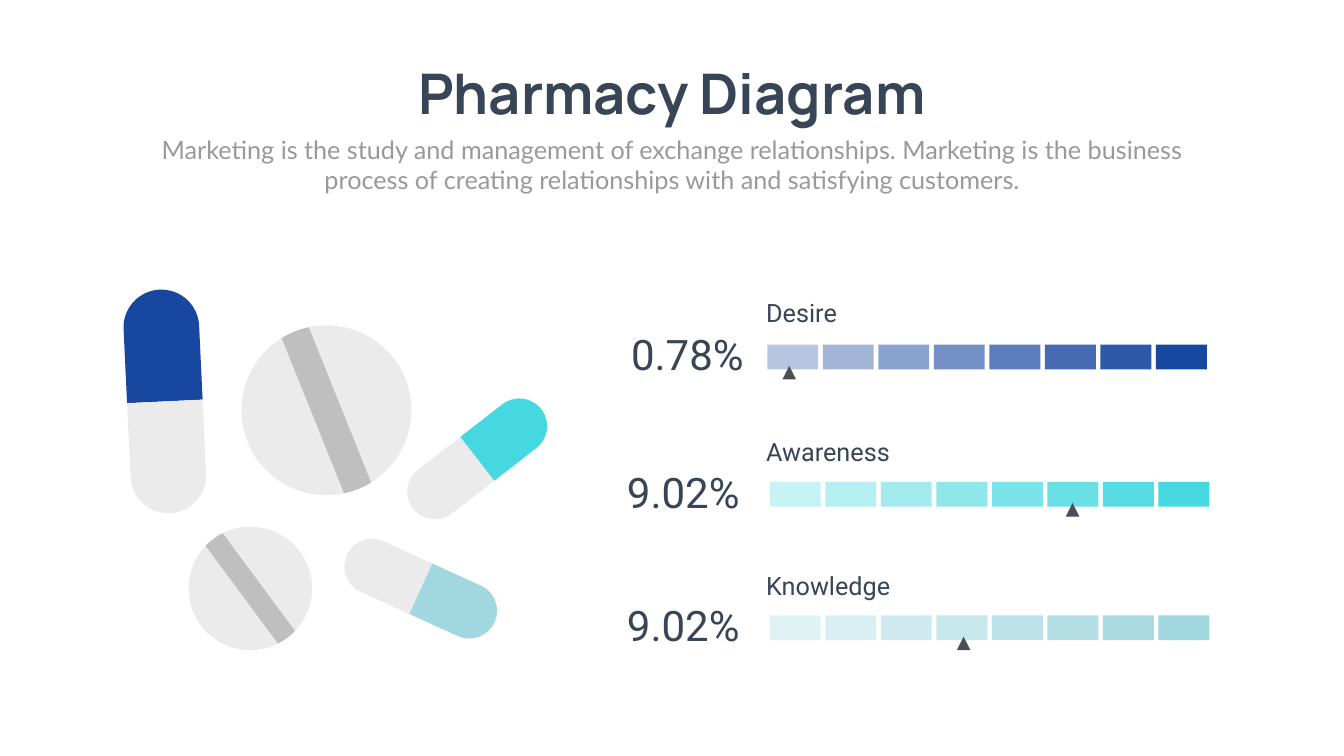
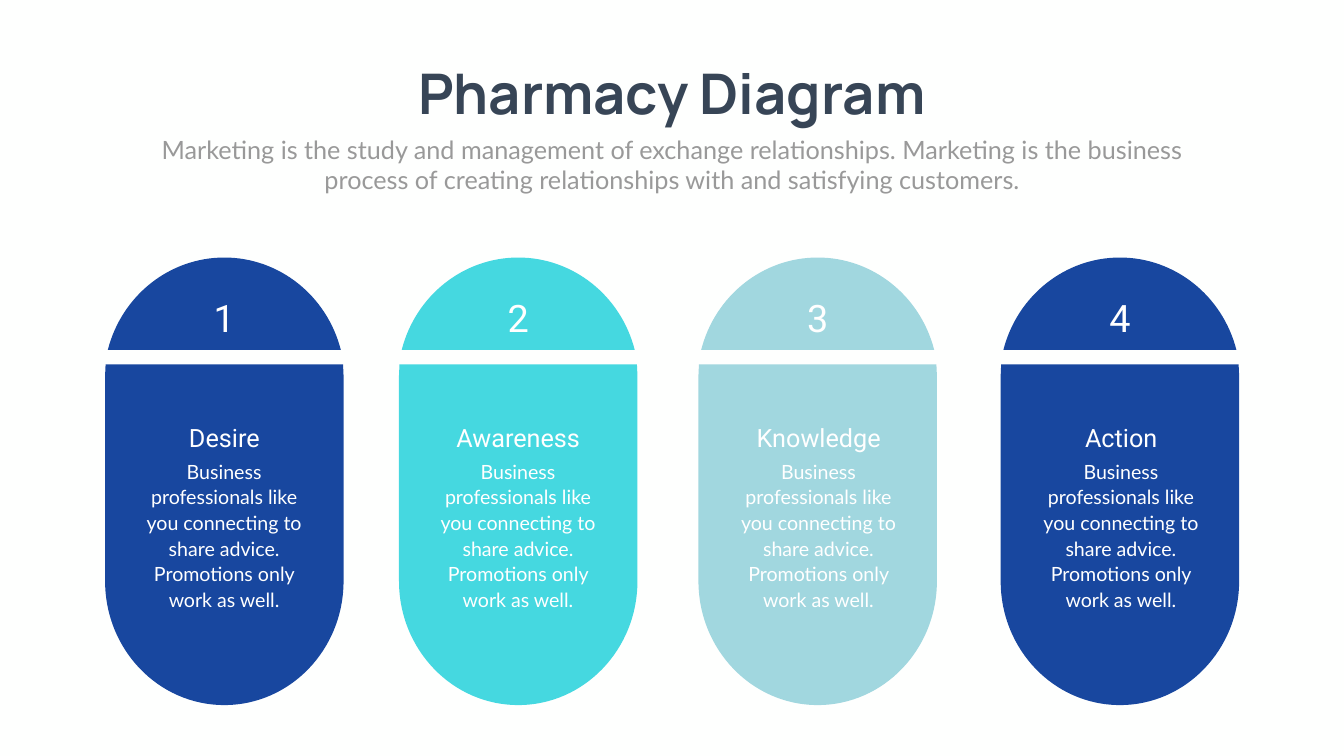
"""Build two pharmacy diagram slides: rating scales beside pills, and four capsule cards."""
import math

import lxml.etree
import pptx
import pptx.dml.color
import pptx.enum.shapes
import pptx.enum.text
import pptx.oxml
import pptx.oxml.ns
import pptx.util

PX = 9144
COLOURS = {
    "background": "FEFFFE", "ink": "374556", "muted": "999999", "white": "FFFFFF",
    "blue": "18479F", "cyan": "45D8E0", "teal": "A1D7DF",
    "pill": "EBEBEB", "groove": "BFBFBF", "marker": "4A4E57",
}
ALIGN = pptx.enum.text.PP_ALIGN
ANCHOR = pptx.enum.text.MSO_ANCHOR
SHAPE = pptx.enum.shapes.MSO_SHAPE
TITLE = "Pharmacy Diagram"
SUBTITLE = ("Marketing is the study and management of exchange relationships. "
            "Marketing is the business process of creating relationships with "
            "and satisfying customers.")
ADVICE = ("Business professionals like you connecting to share advice. "
          "Promotions only work as well.")


def px(length):
    """Turn px into EMU."""
    return pptx.util.Emu(round(length * PX))


def rgb(colour):
    """Look up a named colour."""
    return pptx.dml.color.RGBColor.from_string(COLOURS[colour])


def write(frame, text, font, size, colour, align, bold=False, leading=None):
    """Write one formatted run in a text frame."""
    paragraph = frame.paragraphs[0]
    paragraph.alignment = align
    if leading:
        paragraph.line_spacing = pptx.util.Pt(leading)
    run = paragraph.add_run()
    run.text = text
    run.font.name = font
    run.font.size = pptx.util.Pt(size)
    run.font.bold = bold
    run.font.color.rgb = rgb(colour)


def add_text(slide, box, text, font, size, colour, align, leading=None):
    """Add a wrapping text box."""
    frame = slide.shapes.add_textbox(*map(px, box)).text_frame
    frame.word_wrap = True
    frame.auto_size = pptx.enum.text.MSO_AUTO_SIZE.SHAPE_TO_FIT_TEXT
    write(frame, text, font, size, colour, align, leading=leading)


def paint(shape, colour, opacity=100):
    """Give a shape a flat fill without line or shadow."""
    shape.shadow.inherit = False
    shape.line.fill.background()
    shape.fill.solid()
    shape.fill.fore_color.rgb = rgb(colour)
    if opacity < 100:
        tint = shape.fill._xPr.find(".//" + pptx.oxml.ns.qn("a:srgbClr"))
        alpha = lxml.etree.SubElement(tint, pptx.oxml.ns.qn("a:alpha"))
        alpha.set("val", str(opacity * 1000))
    return shape


def add_preset(slide, kind, box, colour, opacity=100):
    """Add a painted preset shape."""
    return paint(slide.shapes.add_shape(kind, *map(px, box)), colour, opacity)


def add_outline(slide, moves, colour):
    """Add a painted closed outline of lines (one point) and curves (three points)."""
    qn = pptx.oxml.ns.qn
    corners = [(px(x), px(y)) for x, y in (move[-1] for move in moves)]
    builder = slide.shapes.build_freeform(*corners[0], scale=1.0)
    builder.add_line_segments(corners[1:], close=True)
    shape = builder.convert_to_shape()
    segments = list(shape._element.iter(qn("a:lnTo")))
    for move, segment in zip(moves[1:], segments):
        if len(move) == 3:
            segment.tag = qn("a:cubicBezTo")
        for place, (x, y) in enumerate(move[:-1]):
            control = lxml.etree.SubElement(segment, qn("a:pt"))
            control.set("x", str(px(x) - shape.left))
            control.set("y", str(px(y) - shape.top))
            segment.insert(place, control)
    return paint(shape, colour)


def on_ellipse(centre, radii, angle, pull=0):
    """Find a point on an ellipse, pulled along its tangent by a share of the radii."""
    cosine, sine = math.cos(math.radians(angle)), math.sin(math.radians(angle))
    return (centre[0] + radii[0] * (cosine - pull * sine),
            centre[1] + radii[1] * (sine + pull * cosine))


def arc(centre, radii, start, end):
    """List curve moves along an arc, in degrees clockwise, split at the quadrants."""
    quadrants = [angle for angle in range(-360, 721, 90) if start < angle < end]
    stops = [start, *quadrants, end]
    moves = [(on_ellipse(centre, radii, start),)]
    for first, last in zip(stops, stops[1:]):
        pull = 4 / 3 * math.tan(math.radians(last - first) / 4)
        moves.append((on_ellipse(centre, radii, first, pull),
                      on_ellipse(centre, radii, last, -pull),
                      on_ellipse(centre, radii, last)))
    return moves


def add_half_pill(slide, joint, radius, length, angle, colour):
    """Add half a pill that runs from its joint to a round end."""
    radii = (radius, radius)
    tip = on_ellipse(joint, (length, length), angle)
    seam = [(on_ellipse(joint, radii, angle + side),) for side in (90, -90)]
    add_outline(slide, seam + arc(tip, radii, angle - 90, angle + 90), colour)


def add_pill(slide, joint, radius, length, angle, colour):
    """Add a pill with a coloured and a pale half."""
    add_half_pill(slide, joint, radius, length, angle, colour)
    add_half_pill(slide, joint, radius, length, angle + 180, "pill")


def add_tablet(slide, centre, radius, tilt, spread=9.9):
    """Add a round tablet split by a groove."""
    radii = (radius, radius)
    ends = (tilt, tilt + 180)
    for end in ends:
        add_outline(slide, arc(centre, radii, end + spread, end + 180 - spread), "pill")
    groove = [move for end in ends for move in arc(centre, radii, end - spread, end + spread)]
    add_outline(slide, groove, "groove")


def add_scale(slide, label, value, colour, value_box, label_top, left, top, marker_left):
    """Add a labelled eight-step scale with its value and marker."""
    add_text(slide, value_box, value, "Roboto", 60, "ink", ALIGN.RIGHT)
    for step in range(8):
        add_preset(slide, SHAPE.RECTANGLE, (left + 110.14 * step, top, 101, 49),
                   colour, 30 + 10 * step)
    add_preset(slide, SHAPE.ISOSCELES_TRIANGLE, (marker_left, top + 42, 27, 27), "marker")
    add_text(slide, (1510, label_top, 412, 71), label, "Roboto", 36, "ink", ALIGN.LEFT)


def add_card(slide, number, label, colour, middle, text_middle):
    """Add a numbered capsule card around a vertical middle line."""
    dome = add_outline(slide, arc((middle, 757), (239, 246), -165.2, -14.8), colour)
    frame = dome.text_frame
    frame.margin_left = frame.margin_top = frame.margin_right = 0
    frame.margin_bottom = px(20)
    frame.vertical_anchor = ANCHOR.BOTTOM
    write(frame, str(number), "Roboto", 54, "white", ALIGN.CENTER)
    shoulders = [((middle + x, y),) for x, y in
                 ((-236.5, 745), (-235.5, 723), (235.5, 723), (236.5, 745))]
    add_outline(slide, shoulders + arc((middle, 1153), (236.5, 246), 0, 180), colour)
    add_text(slide, (text_middle - 188, 903, 375, 317), ADVICE, "Lato", 28, "white",
             ALIGN.CENTER, leading=36.6)
    add_text(slide, (text_middle - 206, 832, 412, 71), label, "Roboto", 36, "white",
             ALIGN.CENTER)


def start_slide(deck):
    """Add a slide with the shared title and subtitle."""
    slide = deck.slides.add_slide(deck.slide_layouts[5])
    title = slide.shapes.title
    title.left, title.top, title.width, title.height = map(px, (754, 112, 1158, 145))
    frame = title.text_frame
    frame.word_wrap = False
    frame.auto_size = pptx.enum.text.MSO_AUTO_SIZE.SHAPE_TO_FIT_TEXT
    frame.vertical_anchor = ANCHOR.TOP
    write(frame, TITLE, "Manrope", 80, "ink", ALIGN.CENTER, bold=True)
    add_text(slide, (292, 261, 2082, 131), SUBTITLE, "Lato", 36, "muted", ALIGN.CENTER)
    return slide


def build_scales(deck):
    """Build the slide with pills and rating scales."""
    slide = start_slide(deck)
    add_pill(slide, (327, 796.5), 75, 147, -92.7, "blue")
    add_pill(slide, (946.5, 910.5), 55, 106, -37.8, "cyan")
    add_pill(slide, (834.5, 1168), 55, 106, 24.5, "teal")
    add_tablet(slide, (647.5, 814), 168.5, 68.1)
    add_tablet(slide, (496.5, 1167.5), 122.5, 53.5)
    add_scale(slide, "Desire", "0.78%", "blue", (1187, 647, 298, 111), 584, 1522, 684, 1552)
    add_scale(slide, "Awareness", "9.02%", "cyan", (1214, 920, 263, 111), 860, 1527, 956, 2114)
    add_scale(slide, "Knowledge", "9.02%", "teal", (1214, 1185, 263, 111), 1127, 1527, 1221, 1898)


def build_cards(deck):
    """Build the slide with four capsule cards."""
    slide = start_slide(deck)
    cards = [("Desire", "blue", 445, 445), ("Awareness", "cyan", 1028, 1028),
             ("Knowledge", "teal", 1622, 1624), ("Action", "blue", 2221.5, 2224)]
    for number, card in enumerate(cards, 1):
        add_card(slide, number, *card)


def main():
    """Build and save the deck."""
    deck = pptx.Presentation()
    deck.slide_width, deck.slide_height = px(2666), px(1500)
    backdrop = deck.slide_master.background.fill
    backdrop.solid()
    backdrop.fore_color.rgb = rgb("background")
    build_scales(deck)
    build_cards(deck)
    deck.save("out.pptx")


if __name__ == "__main__":
    main()
